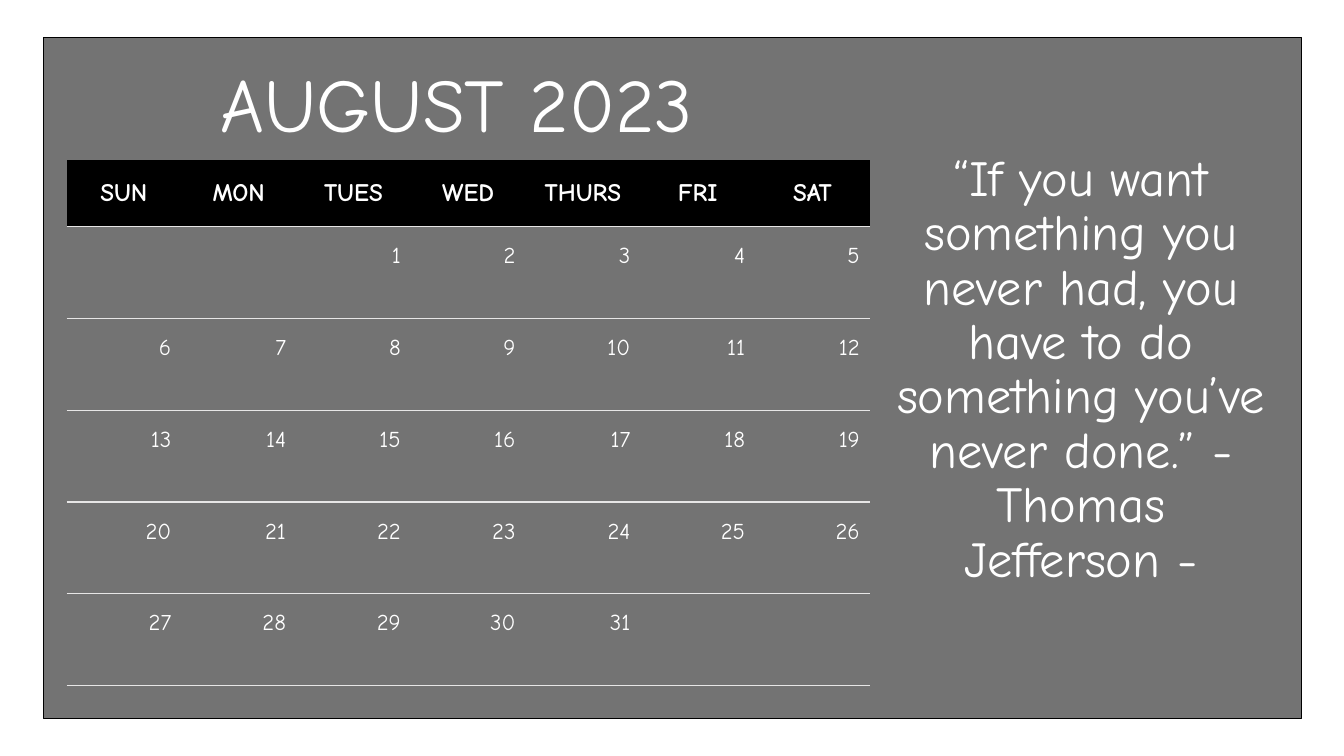
from lxml.etree import SubElement
from pptx import Presentation
from pptx.dml.color import RGBColor
from pptx.enum.shapes import MSO_SHAPE
from pptx.enum.text import MSO_ANCHOR, PP_ALIGN
from pptx.oxml import parse_xml
from pptx.oxml.ns import nsdecls, qn
from pptx.util import Inches, Pt

BLACK, WHITE, RULE = "000000", "FFFFFF", "E7E6E6"
PLAIN_TABLE = "{2D5ABB26-0587-4C30-8999-92F81FD0307C}"
DAYS = ["SUN", "MON", "TUES", "WED", "THURS", "FRI", "SAT"]
FIRST_DAY, LAST_DATE, WEEKS = 2, 31, 5


def rgb(value):
    return RGBColor.from_string(value)


class CalendarSlide:
    font = "Comic Neue"

    def __init__(self, prs):
        self.s = prs.slides.add_slide(prs.slide_layouts[6])

    def style(self, p, size, align, bold=False):
        p.alignment = align
        p.font.name = self.font
        p.font.size = Pt(size)
        p.font.bold = bold
        p.font.color.rgb = rgb(WHITE)

    def panel(self, x, y, w, h, opacity):
        sp = self.s.shapes.add_shape(
            MSO_SHAPE.RECTANGLE, Inches(x), Inches(y), Inches(w), Inches(h))
        sp.shadow.inherit = False
        sp.fill.solid()
        sp.fill.fore_color.rgb = rgb(BLACK)
        color = sp.fill._xPr.find(qn("a:solidFill"))[0]
        SubElement(color, qn("a:alpha"), val=str(opacity * 1000))
        sp.line.color.rgb = rgb(BLACK)
        sp.line.width = Pt(1)

    def text(self, x, y, w, h, text, size):
        sp = self.s.shapes.add_textbox(Inches(x), Inches(y), Inches(w), Inches(h))
        tf = sp.text_frame
        tf.word_wrap = True
        tf.vertical_anchor = MSO_ANCHOR.MIDDLE
        p = tf.paragraphs[0]
        p.text = text
        p.line_spacing = 0.9
        self.style(p, size, PP_ALIGN.CENTER)

    def rule_below(self, cell):
        cell._tc.get_or_add_tcPr().insert(0, parse_xml(
            f'<a:lnB {nsdecls("a")} w="12700"><a:solidFill>'
            f'<a:srgbClr val="{RULE}"/></a:solidFill></a:lnB>'))

    def calendar(self, x, y, w, header_h, week_h):
        frame = self.s.shapes.add_table(
            WEEKS + 1, len(DAYS), Inches(x), Inches(y), Inches(w),
            Inches(header_h + WEEKS * week_h))
        table = frame.table
        table._tbl.tblPr.find(qn("a:tableStyleId")).text = PLAIN_TABLE
        table.horz_banding = False
        for i, row in enumerate(table.rows):
            row.height = Inches(week_h if i else header_h)
            for j, cell in enumerate(row.cells):
                p = cell.text_frame.paragraphs[0]
                if i == 0:
                    cell.fill.solid()
                    cell.fill.fore_color.rgb = rgb(BLACK)
                    cell.vertical_anchor = MSO_ANCHOR.MIDDLE
                    p.text = DAYS[j]
                    self.style(p, 18, PP_ALIGN.CENTER, bold=True)
                else:
                    cell.fill.background()
                    date = (i - 1) * len(DAYS) + j - FIRST_DAY + 1
                    if 1 <= date <= LAST_DATE:
                        r = p.add_run()
                        r.text = str(date)
                        # Dates are slightly raised
                        r._r.get_or_add_rPr().set("baseline", "8000")
                    self.style(p, 28, PP_ALIGN.RIGHT)
                self.rule_below(cell)


def main():
    prs = Presentation()
    prs.slide_width, prs.slide_height = Inches(13.33), Inches(7.5)
    slide = CalendarSlide(prs)

    # Background panel
    slide.panel(0.43, 0.37, 12.48, 6.76, opacity=55)

    # Month and its days
    slide.text(0.66, 0.55, 7.74, 1.04, "AUGUST 2023", 54)
    slide.calendar(0.66, 1.59, 7.97, header_h=0.66, week_h=0.91)

    # Quotation
    slide.text(8.76, 0.4, 3.92, 6.55,
               "“If you want something you never had, you have to do "
               "something you’ve never done.” - Thomas Jefferson -", 36)

    prs.save("out.pptx")


if __name__ == "__main__":
    main()
